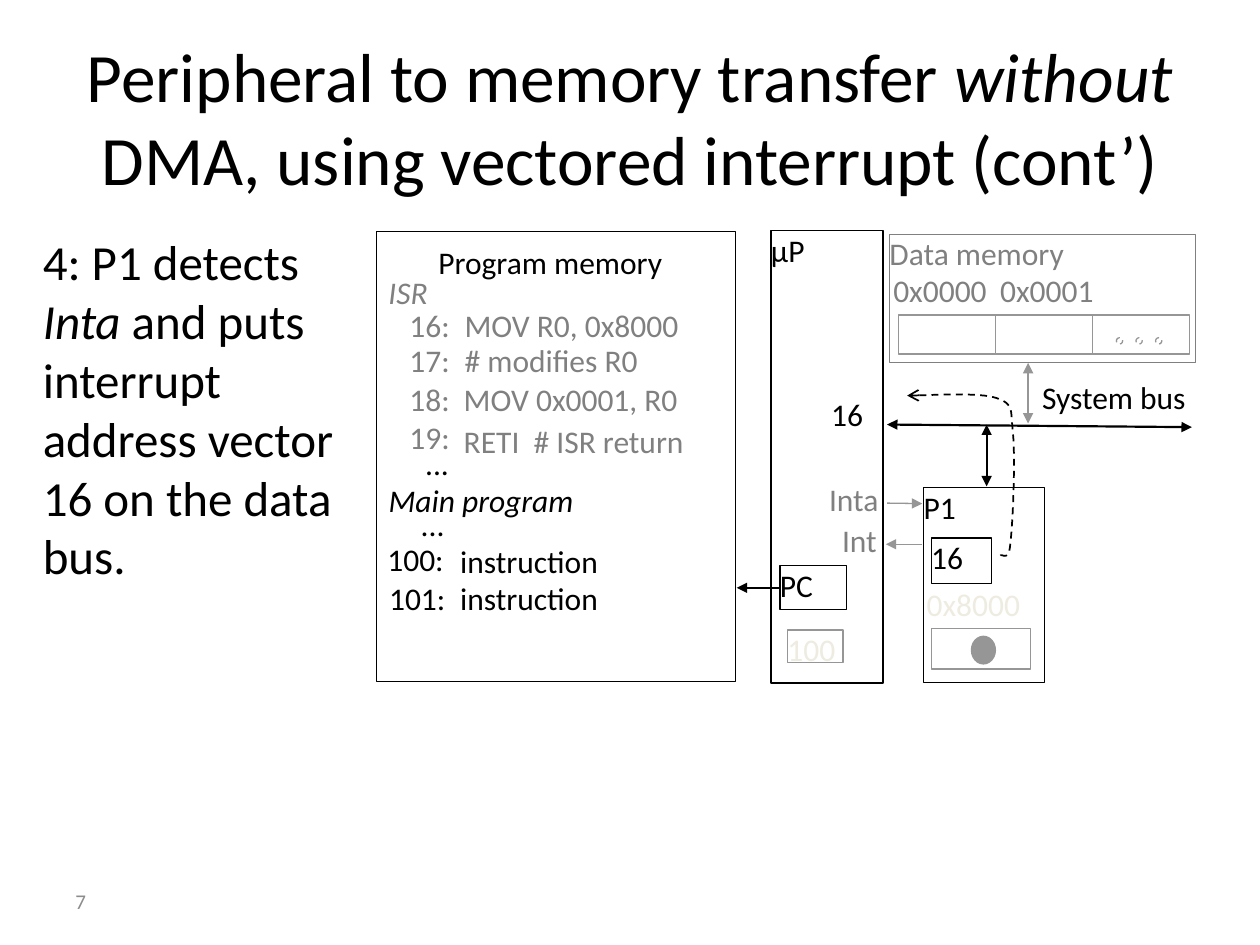
from dataclasses import dataclass

import lxml.etree
import pptx
import pptx.dml.color
import pptx.enum.dml
import pptx.enum.shapes
import pptx.enum.text
import pptx.oxml.ns
import pptx.util

Pt = pptx.util.Pt
qn = pptx.oxml.ns.qn
ALIGN = pptx.enum.text.PP_ALIGN
ANCHOR = pptx.enum.text.MSO_ANCHOR
SHAPE = pptx.enum.shapes.MSO_SHAPE
DASH = pptx.enum.dml.MSO_LINE.DASH

FONT = "Calibri"
COLORS = {
    "black": "000000",
    "text_grey": "808080",
    "line_grey": "969696",
    "pale": "EEECE1",
    "number": "8C8C8C",
}


@dataclass
class Run:
    text: str
    italic: bool = False


@dataclass
class Label:
    text: str
    x: float
    y: float
    w: float
    color: str = "text_grey"
    align: ALIGN = ALIGN.LEFT
    italic: bool = False


@dataclass
class Box:
    x: float
    y: float
    w: float
    h: float
    line: str = "line_grey"
    text: str = ""
    color: str = "black"
    kind: SHAPE = SHAPE.RECTANGLE
    fill: str = ""
    dashed: bool = False


@dataclass
class Arrow:
    x1: float
    y1: float
    x2: float
    y2: float
    color: str = "black"
    width: float = 1.25
    both: bool = False


@dataclass
class CodeLine:
    number: str
    right: float
    y: float
    text: str
    x: float
    text_y: float
    color: str


def rgb(name: str) -> pptx.dml.color.RGBColor:
    return pptx.dml.color.RGBColor.from_string(COLORS[name])


def write(sp, runs: list[Run], size: float, color: str, align=ALIGN.LEFT,
          anchor=ANCHOR.TOP, inset: bool = False) -> None:
    tf = sp.text_frame
    tf.word_wrap = True
    tf.vertical_anchor = anchor
    if not inset:
        tf.margin_left = tf.margin_right = tf.margin_top = tf.margin_bottom = 0
    p = tf.paragraphs[0]
    p.alignment = align
    for run in runs:
        r = p.add_run()
        r.text = run.text
        r.font.name = FONT
        r.font.size = Pt(size)
        r.font.italic = run.italic
        r.font.color.rgb = rgb(color)


def add_text(s, x: float, y: float, w: float, h: float, runs: list[Run],
             size: float, color: str = "black", **layout) -> None:
    sp = s.shapes.add_textbox(Pt(x), Pt(y), Pt(w), Pt(h))
    write(sp, runs, size, color, **layout)


def add_label(s, label: Label) -> None:
    add_text(s, label.x, label.y, label.w, 22, [Run(label.text, label.italic)],
             18, label.color, align=label.align)


def add_box(s, box: Box):
    sp = s.shapes.add_shape(box.kind, Pt(box.x), Pt(box.y), Pt(box.w), Pt(box.h))
    sp.shadow.inherit = False
    if box.fill:
        sp.fill.solid()
        sp.fill.fore_color.rgb = rgb(box.fill)
    else:
        sp.fill.background()
    sp.line.color.rgb = rgb(box.line)
    sp.line.width = Pt(0.75)
    if box.dashed:
        sp.line.dash_style = DASH
    if box.text:
        write(sp, [Run(box.text)], 18, box.color)
    return sp


def add_arrowhead(sp, end: str, kind: str) -> None:
    ln = sp.line._get_or_add_ln()
    lxml.etree.SubElement(ln, qn("a:" + end), type=kind)


def add_arrow(s, arrow: Arrow):
    sp = s.shapes.add_connector(
        pptx.enum.shapes.MSO_CONNECTOR.STRAIGHT,
        Pt(arrow.x1), Pt(arrow.y1), Pt(arrow.x2), Pt(arrow.y2))
    sp.line.color.rgb = rgb(arrow.color)
    sp.line.width = Pt(arrow.width)
    if arrow.both:
        add_arrowhead(sp, "headEnd", "triangle")
    add_arrowhead(sp, "tailEnd", "triangle")
    lxml.etree.SubElement(sp._element.spPr, qn("a:effectLst"))
    return sp


def bezier(points: list[tuple[float, float]], steps: int = 12) -> list[tuple[int, int]]:
    """Points along a chain of cubic curves, in EMU."""
    result = []
    for i in range(0, len(points) - 1, 3):
        curve = points[i:i + 4]
        for k in range(1, steps + 1):
            t = k / steps
            weights = ((1 - t) ** 3, 3 * t * (1 - t) ** 2, 3 * t * t * (1 - t), t ** 3)
            x, y = (sum(w * c[axis] for w, c in zip(weights, curve)) for axis in (0, 1))
            result.append((Pt(x), Pt(y)))
    return result


def add_dashed_path(s, points: list[tuple[float, float]]) -> None:
    start_x, start_y = points[0]
    builder = s.shapes.build_freeform(Pt(start_x), Pt(start_y))
    builder.add_line_segments(bezier(points), close=False)
    sp = builder.convert_to_shape()
    sp.shadow.inherit = False
    sp.fill.background()
    sp.line.color.rgb = rgb("black")
    sp.line.width = Pt(1)
    sp.line.dash_style = DASH
    add_arrowhead(sp, "tailEnd", "arrow")


BOXES = [
    Box(450, 360, 31.7, 18.7, text="100", color="pale"),
    Box(555.1, 363.6, 13.7, 15.8, kind=SHAPE.OVAL, fill="line_grey"),
    Box(440.6, 131.8, 64, 258.5, "black", "μP"),
    Box(527.8, 278.6, 69.1, 111.6, "black", "P1"),
    Box(532.1, 359.3, 56.9, 23),
    Box(215.3, 132.5, 205.2, 257, "black"),
    Box(508.3, 133.9, 175, 73.4, "text_grey", "Data memory", "text_grey"),
    Box(532.1, 307.4, 34.6, 25.9, "black", "16"),
    # Data memory cells and the ellipsis in the last one
    *[Box(513.4 + 55.4 * i, 180, 55.4, 22.3) for i in range(3)],
    *[Box(637.9 + 11.2 * i, 193, 3.6, 3.6, kind=SHAPE.OVAL, dashed=True) for i in range(3)],
]
PC_BOX = Box(445.7, 323.3, 38.2, 25.2, "black", "PC")

CODE = [
    CodeLine("16:", 257, 175, "MOV R0, 0x8000", 265.5, 175, "text_grey"),
    CodeLine("17:", 257, 195, "# modifies R0", 265.5, 195, "text_grey"),
    CodeLine("18:", 257, 217, "MOV 0x0001, R0", 265, 217, "text_grey"),
    CodeLine("19:", 257, 239, "RETI  # ISR return", 265, 241, "text_grey"),
    CodeLine("...", 256.5, 253.5, "", 0, 0, "black"),
    CodeLine("...", 254, 288.5, "", 0, 0, "black"),
    CodeLine("100:", 253.5, 308.5, "instruction", 263, 309.5, "black"),
    CodeLine("101:", 254.5, 331, "instruction", 263, 331, "black"),
]

LABELS = [
    Label("Program memory", 250.5, 139, 140, "black"),
    Label("ISR", 222, 156, 44, italic=True),
    Label("Main program", 222, 275, 120, "black", italic=True),
    Label("0x0000", 510.5, 155, 58),
    Label("0x0001", 571.5, 155, 59),
    Label("0x8000", 529.5, 334.5, 60, "pale"),
    Label("System bus", 595.5, 216, 91.5, "black"),
    Label("16", 475, 226, 25, "black"),
    Label("Inta", 465, 274.5, 37, align=ALIGN.RIGHT),
    Label("Int", 465, 297.5, 36, align=ALIGN.RIGHT),
]

ARROWS = [
    Arrow(506.9, 242.6, 681.1, 244.1, both=True),
    Arrow(563.8, 242.6, 563.8, 277.9, both=True),
    Arrow(587.5, 207.4, 587.5, 242, "line_grey", both=True),
    Arrow(506.9, 287.5, 527, 287.8, "line_grey", 0.75),
    Arrow(527, 311, 506.2, 311, "line_grey", 0.75),
]

VECTOR_PATH = [
    (571.7, 317.5), (572.4, 316.1), (576.7, 321.8), (577.4, 310.3),
    (578.9, 298.8), (580.3, 261.4), (578.9, 247.7),
    (577.4, 234), (579.6, 231.1), (569.5, 227.5),
    (559.4, 223.9), (529.2, 226.1), (518.4, 226.1),
]


def main() -> None:
    prs = pptx.Presentation()
    prs.slide_width, prs.slide_height = Pt(720), Pt(540)
    s = prs.slides.add_slide(prs.slide_layouts[6])

    # Title, explanation and page number
    add_text(s, 36, 21.6, 648, 90,
             [Run("Peripheral to memory transfer "), Run("without", True),
              Run(" DMA, using vectored interrupt (cont’)")],
             39.6, align=ALIGN.CENTER, anchor=ANCHOR.MIDDLE, inset=True)
    add_text(s, 24.5, 132.5, 185, 227.5,
             [Run("4: P1 detects "), Run("Inta", True),
              Run(" and puts interrupt address vector 16 on the data bus.")], 28)
    add_text(s, 36, 500.4, 168, 28.8, [Run("7")], 12, "number",
             anchor=ANCHOR.MIDDLE, inset=True)

    # Memories, processor and peripheral
    for box in BOXES:
        add_box(s, box)
    pc = add_box(s, PC_BOX)

    # Program listing
    for line in CODE:
        add_label(s, Label(line.number, line.right - 43, line.y, 43, line.color, ALIGN.RIGHT))
        if line.text:
            add_label(s, Label(line.text, line.x, line.text_y, 155, line.color))
    for label in LABELS:
        add_label(s, label)

    # Buses, signals and the path of the interrupt vector
    for arrow in ARROWS:
        add_arrow(s, arrow)
    add_arrow(s, Arrow(445.7, 335.9, 421, 335.9)).begin_connect(pc, 1)
    add_dashed_path(s, VECTOR_PATH)

    prs.save("out.pptx")


if __name__ == "__main__":
    main()
